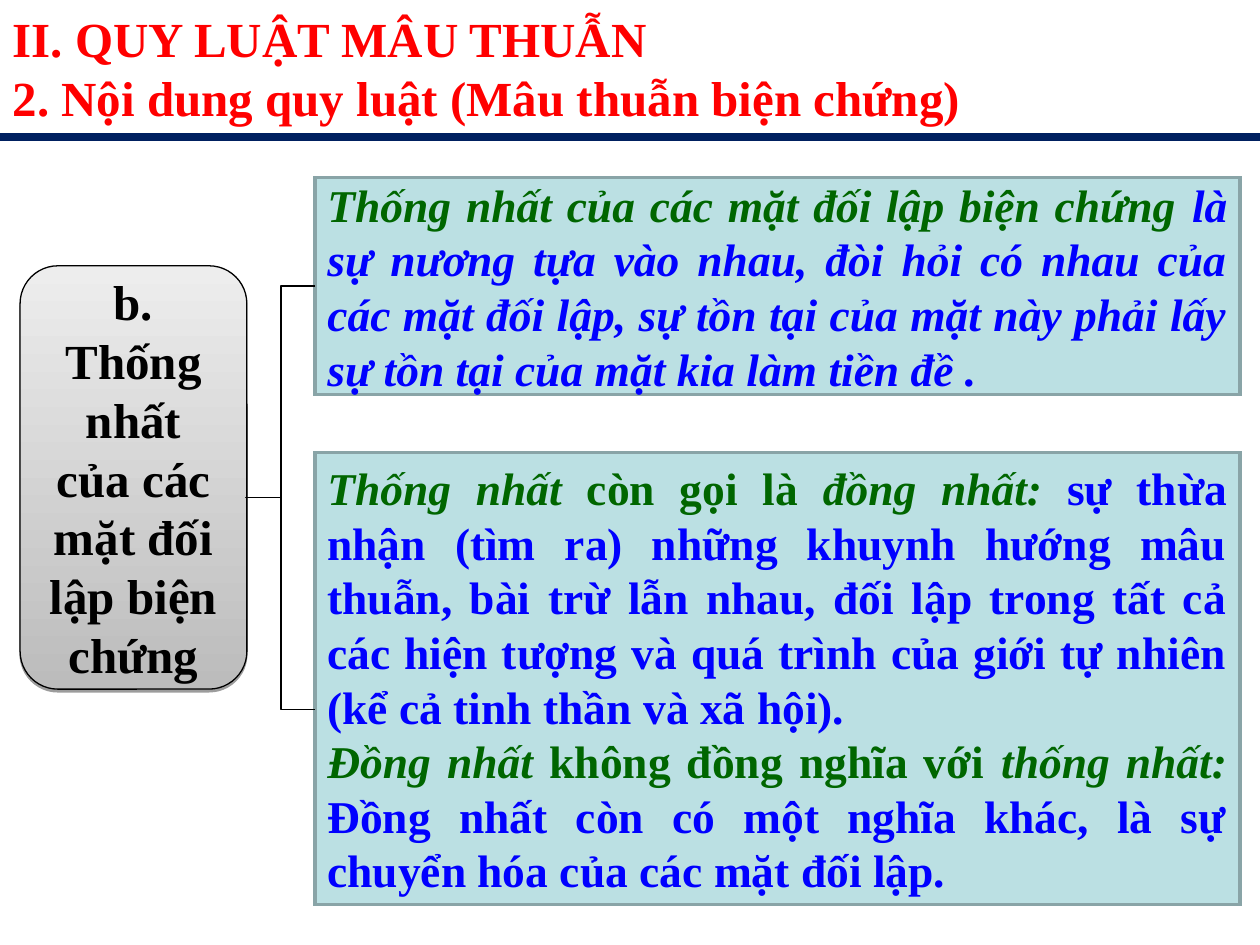
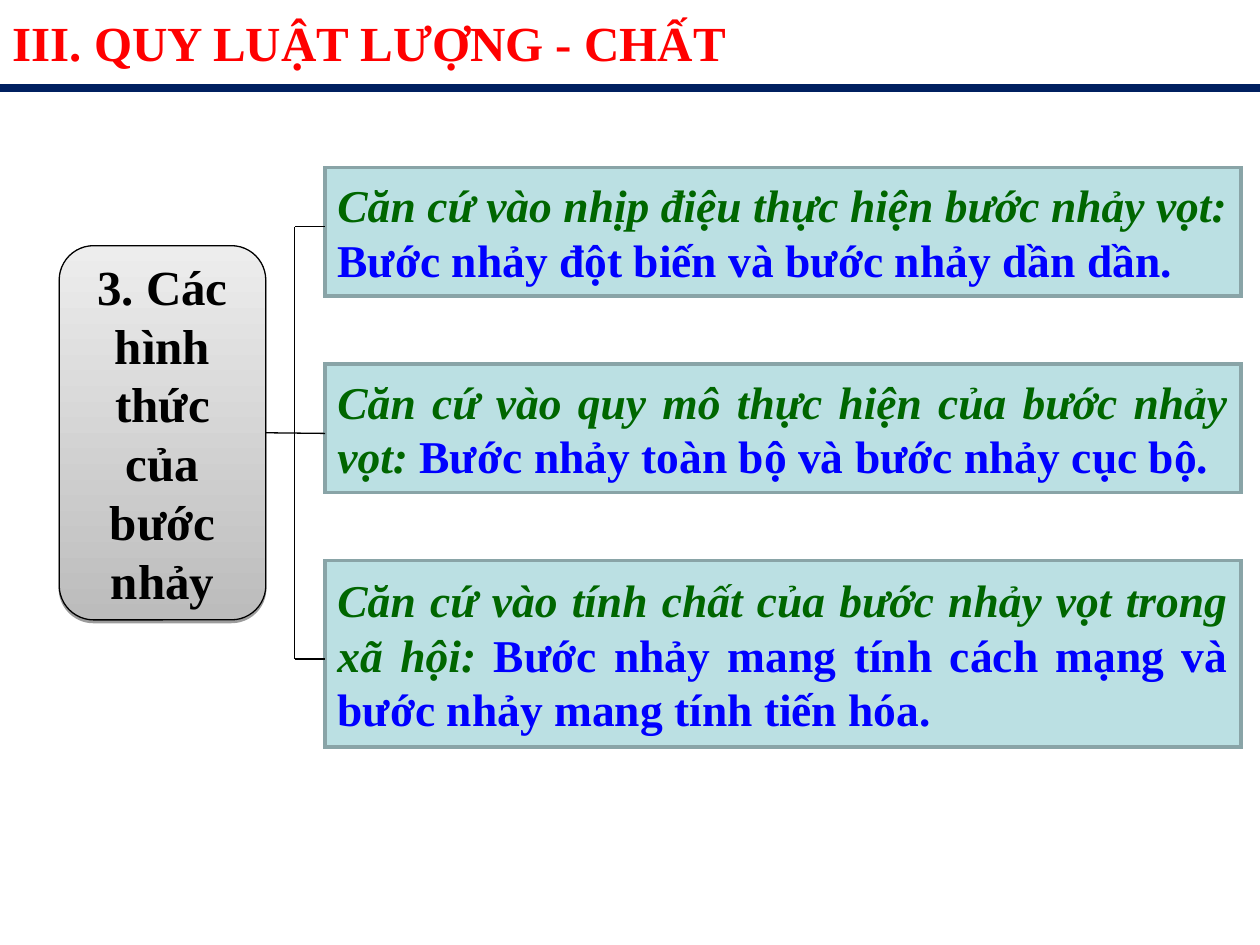
import pptx
import pptx.dml.color
import pptx.enum.shapes
import pptx.enum.text
import pptx.oxml
import pptx.oxml.ns
import pptx.util
from pptx.util import Inches

FONT = "Times New Roman"
COLORS = {
    "title": "FF0000", "rule": "002060", "term": "006600", "body": "0000FF",
    "label": "000000", "line": "000000", "box": "BBE0E3", "box_edge": "89A4A7",
    "label_bottom": "BCBCBC", "label_top": "EDEDED",
}
# Run styles: colour name, italic
STYLES = {
    "term": ("term", True), "link": ("term", False),
    "body": ("body", False), "quote": ("body", True),
    "title": ("title", False), "label": ("label", False),
}

# Each box: top, height, height of its branch, paragraphs of (text, style) runs
PAGES = [
    {
        "title": ["II. QUY LUẬT MÂU THUẪN", "2. Nội dung quy luật (Mâu thuẫn biện chứng)"],
        "title_top": 0.02, "title_height": 1.04, "rule_y": 1.09,
        "label": "b. Thống nhất của các mặt đối lập biện chứng",
        "label_at": (0.16, 2.11, 1.8, 3.36),
        "box_left": 2.5, "box_width": 7.34,
        "stem_x": 1.95, "spine_x": 2.23, "stem_y": 3.95,
        "boxes": [
            (1.41, 1.72, 2.27, [[
                ("Thống nhất của các mặt đối lập biện chứng ", "term"),
                ("là sự nương tựa vào nhau, đòi hỏi có nhau của các mặt đối lập, "
                 "sự tồn tại của mặt này phải lấy sự tồn tại của mặt kia làm tiền đề .", "quote"),
            ]]),
            (3.59, 3.59, 5.63, [
                [("Thống nhất ", "term"), ("còn gọi là ", "link"), ("đồng nhất: ", "term"),
                 ("sự thừa nhận (tìm ra) những khuynh hướng mâu thuẫn, bài trừ lẫn nhau, "
                  "đối lập trong tất cả các hiện tượng và quá trình của giới tự nhiên "
                  "(kể cả tinh thần và xã hội).", "body")],
                [("Đồng nhất ", "term"), ("không đồng nghĩa với ", "link"),
                 ("thống nhất: ", "term"),
                 ("Đồng nhất còn có một nghĩa khác, là sự chuyển hóa của các mặt đối lập.",
                  "body")],
            ]),
        ],
    },
    {
        "title": ["III. QUY LUẬT LƯỢNG - CHẤT"],
        "title_top": 0.05, "title_height": 0.57, "rule_y": 0.7,
        "label": "3. Các hình thức của bước nhảy",
        "label_at": (0.47, 1.95, 1.64, 2.97),
        "box_left": 2.58, "box_width": 7.27,
        "stem_x": 2.11, "spine_x": 2.34, "stem_y": 3.44,
        "boxes": [
            (1.33, 1.02, 1.8, [[
                ("Căn cứ vào nhịp điệu thực hiện bước nhảy vọt:", "term"),
                (" Bước nhảy đột biến và bước nhảy dần dần.", "body"),
            ]]),
            (2.89, 1.02, 3.44, [[
                ("Căn cứ vào quy mô thực hiện của bước nhảy vọt: ", "term"),
                ("Bước nhảy toàn bộ và bước nhảy cục bộ.", "body"),
            ]]),
            (4.45, 1.48, 5.23, [[
                ("Căn cứ vào tính chất của bước nhảy vọt trong xã hội: ", "term"),
                ("Bước nhảy mang tính cách mạng và bước nhảy mang tính tiến hóa.", "body"),
            ]]),
        ],
    },
]


def color(name):
    return pptx.dml.color.RGBColor.from_string(COLORS[name])


def write(shape, paragraphs, size, align="JUSTIFY", anchor="MIDDLE", margin_y=0.05):
    """Fill a shape with paragraphs, each a list of (text, style) runs."""
    frame = shape.text_frame
    frame.word_wrap = True
    frame.auto_size = pptx.enum.text.MSO_AUTO_SIZE.NONE
    frame.vertical_anchor = getattr(pptx.enum.text.MSO_ANCHOR, anchor)
    frame.margin_left = frame.margin_right = Inches(0.1)
    frame.margin_top = frame.margin_bottom = Inches(margin_y)
    for index, runs in enumerate(paragraphs):
        para = frame.add_paragraph() if index else frame.paragraphs[0]
        para.alignment = getattr(pptx.enum.text.PP_ALIGN, align)
        for text, style in runs:
            color_name, italic = STYLES[style]
            span = para.add_run()
            span.text = text
            span.font.name = FONT
            span.font.size = pptx.util.Pt(size)
            span.font.bold = True
            span.font.italic = italic
            span.font.color.rgb = color(color_name)


def set_line(shape, color_name, width):
    shape.line.color.rgb = color(color_name)
    shape.line.width = pptx.util.Pt(width)


def add_line(page, start, end, color_name="line", width=0.75):
    line = page.shapes.add_connector(
        pptx.enum.shapes.MSO_CONNECTOR.STRAIGHT, *map(Inches, start + end))
    set_line(line, color_name, width)
    properties = line._element.spPr
    properties.append(properties.makeelement(pptx.oxml.ns.qn("a:effectLst"), {}))
    return line


def add_panel(page, kind, at, edge, width):
    panel = page.shapes.add_shape(
        getattr(pptx.enum.shapes.MSO_SHAPE, kind), *map(Inches, at))
    panel.shadow.inherit = False
    set_line(panel, edge, width)
    return panel


def add_box(page, at, paragraphs):
    box = add_panel(page, "RECTANGLE", at, "box_edge", 2)
    box.fill.solid()
    box.fill.fore_color.rgb = color("box")
    outline = box.line._get_or_add_ln()
    outline.append(outline.makeelement(pptx.oxml.ns.qn("a:miter"), {"lim": "800000"}))
    write(box, paragraphs, 26, margin_y=0)


def add_label(page, text, at):
    label = add_panel(page, "ROUNDED_RECTANGLE", at, "line", 0.75)
    label.fill.gradient()
    label.fill.gradient_angle = 90
    for stop, name in zip(label.fill.gradient_stops, ("label_bottom", "label_top")):
        stop.color.rgb = color(name)
    effects = label._element.spPr.find(pptx.oxml.ns.qn("a:effectLst"))
    effects.append(pptx.oxml.parse_xml(
        f'<a:outerShdw {pptx.oxml.ns.nsdecls("a")} dist="20320" dir="5400000" rotWithShape="0">'
        '<a:srgbClr val="000000"><a:alpha val="38000"/></a:srgbClr></a:outerShdw>'))
    write(label, [[(text, "label")]], 28, "CENTER")
    return label


def add_bracket(page, stem_x, spine_x, stem_y, tip_x, top, bottom):
    """Draw a two-armed bracket as one open outline."""
    points = [(tip_x, top), (spine_x, top), (spine_x, stem_y), (stem_x, stem_y),
              (spine_x, stem_y), (spine_x, bottom), (tip_x, bottom)]
    start, *rest = [(Inches(x), Inches(y)) for x, y in points]
    builder = page.shapes.build_freeform(*start)
    builder.add_line_segments(rest, close=False)
    bracket = builder.convert_to_shape()
    bracket.shadow.inherit = False
    bracket.fill.background()
    set_line(bracket, "line", 0.75)


def add_tree(page, label, stem_x, spine_x, stem_y, tip_x, branches):
    """Draw a spine, its outer branches and a stem that runs through to the middle box."""
    top, bottom = branches[0], branches[-1]
    add_line(page, (spine_x, top), (spine_x, bottom))
    for y in (bottom, top):
        add_line(page, (spine_x, y), (tip_x, y))
    stem = add_line(page, (stem_x, stem_y), (tip_x, stem_y))
    stem.begin_connect(label, 3)


def add_page(deck, content):
    page = deck.slides.add_slide(deck.slide_layouts.get_by_name("Title Only"))
    add_line(page, (0, content["rule_y"]), (10, content["rule_y"]), "rule", 4.5)
    title = page.shapes.title
    title.left, title.top = Inches(0), Inches(content["title_top"])
    title.width, title.height = Inches(10), Inches(content["title_height"])
    write(title, [[(text, "title")] for text in content["title"]], 28, anchor="TOP")

    box_left = content["box_left"]
    for top, height, _, paragraphs in content["boxes"]:
        add_box(page, (box_left, top, content["box_width"], height), paragraphs)

    label = add_label(page, content["label"], content["label_at"])
    branches = [branch_y for _, _, branch_y, _ in content["boxes"]]
    stem = content["stem_x"], content["spine_x"], content["stem_y"]
    if len(branches) == 2:
        add_bracket(page, *stem, box_left, *branches)
    else:
        add_tree(page, label, *stem, box_left, branches)


def main():
    deck = pptx.Presentation()
    deck.slide_width, deck.slide_height = Inches(10), Inches(7.5)
    for content in PAGES:
        add_page(deck, content)
    deck.save("out.pptx")


if __name__ == "__main__":
    main()
